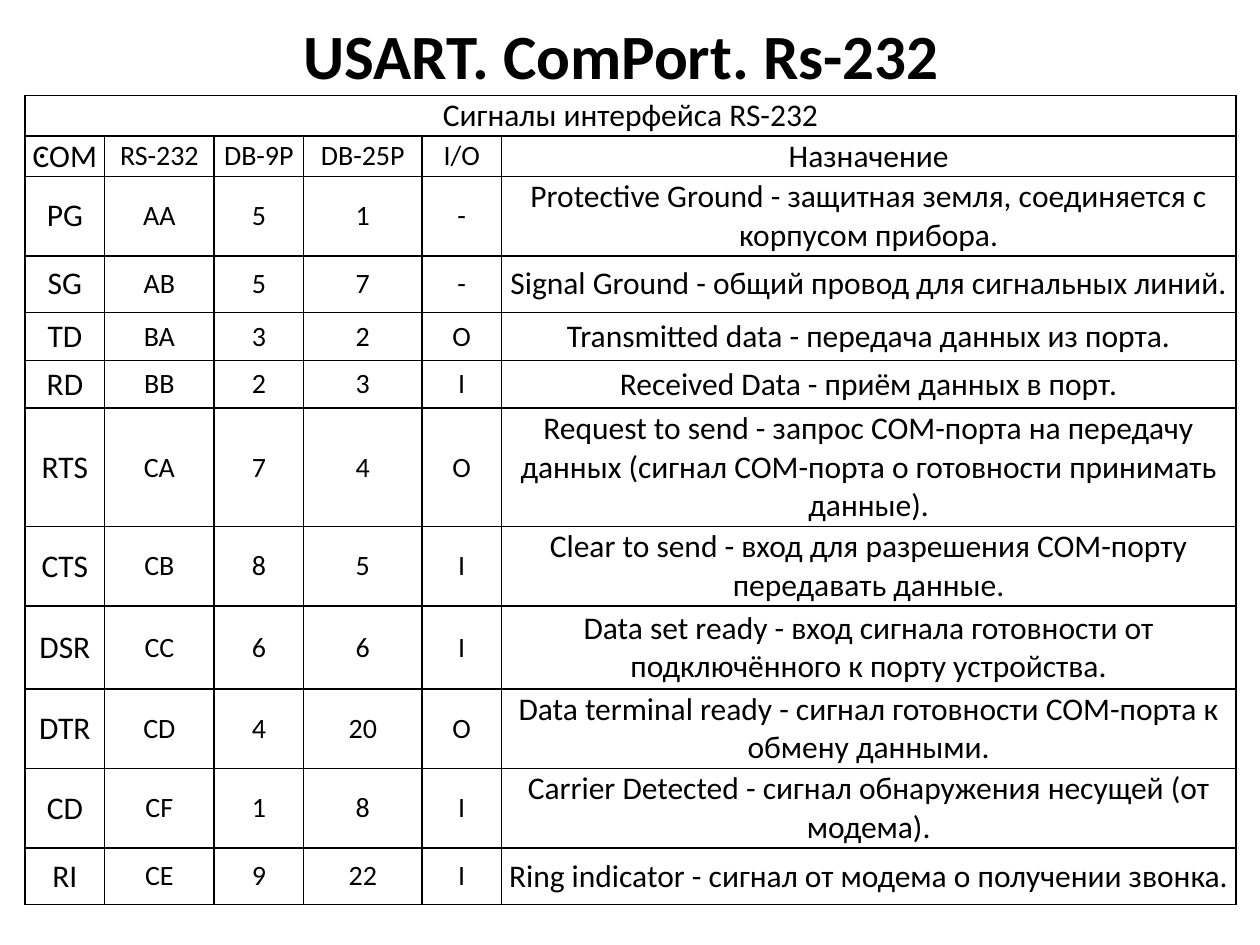
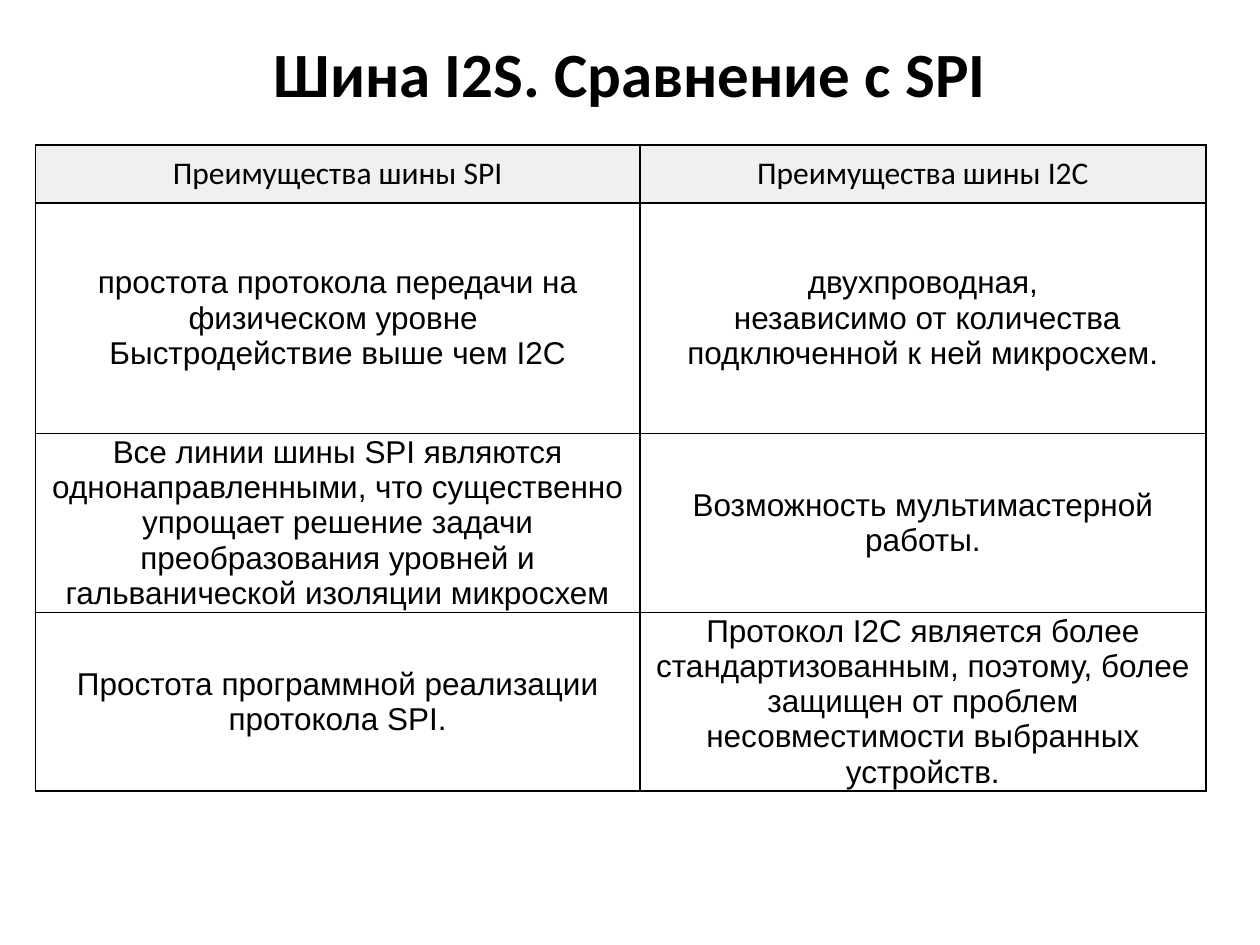
from lxml.etree import SubElement
from pptx import Presentation
from pptx.dml.color import RGBColor
from pptx.enum.text import MSO_ANCHOR as Anchor, PP_ALIGN as Align
from pptx.oxml.ns import qn
from pptx.util import Inches, Pt

COLS, ROWS = 100, 75
BLACK, WHITE, GREY = "000000", "FFFFFF", "F0F0F0"
HEAD_FONT, BODY_FONT = "Calibri", "Arial"

SIGNALS = [
    ["Сигналы интерфейса RS-232", "", "", "", "", ""],
    ["COM", "RS-232", "DB-9P", "DB-25P", "I/O", "Назначение"],
    ["PG", "AA", "5", "1", "-", "Protective Ground - защитная земля, соединяется с корпусом прибора."],
    ["SG", "AB", "5", "7", "-", "Signal Ground - общий провод для сигнальных линий."],
    ["TD", "BA", "3", "2", "O", "Transmitted data - передача данных из порта."],
    ["RD", "BB", "2", "3", "I", "Received Data - приём данных в порт."],
    ["RTS", "CA", "7", "4", "O", "Request to send - запрос COM-порта на передачу данных "
     "(сигнал COM-порта о готовности принимать данные)."],
    ["CTS", "CB", "8", "5", "I", "Clear to send - вход для разрешения COM-порту передавать данные."],
    ["DSR", "CC", "6", "6", "I", "Data set ready - вход сигнала готовности от подключённого к порту устройства."],
    ["DTR", "CD", "4", "20", "O", "Data terminal ready - сигнал готовности COM-порта к обмену данными."],
    ["CD", "CF", "1", "8", "I", "Carrier Detected - сигнал обнаружения несущей (от модема)."],
    ["RI", "CE", "9", "22", "I", "Ring indicator - сигнал от модема о получении звонка."],
]

ADVANTAGES = [
    ["Преимущества шины SPI", "Преимущества шины I2C"],
    ["простота протокола передачи на физическом уровне \nБыстродействие выше чем I2C",
     "двухпроводная,\n независимо от количества подключенной к ней микросхем."],
    ["Все линии шины SPI являются однонаправленными, что существенно упрощает решение "
     "задачи преобразования уровней и гальванической изоляции микросхем",
     "Возможность мультимастерной работы."],
    ["Простота программной реализации протокола SPI.",
     "Протокол I2C является более стандартизованным, поэтому, более защищен от проблем "
     "несовместимости выбранных устройств."],
]


def rgb(color):
    return RGBColor.from_string(color)


class Deck:
    """Holds the shared style and the current slide, placed on a 100 by 75 grid."""

    def __init__(self):
        self.prs = Presentation()
        self.prs.slide_width, self.prs.slide_height = Inches(10), Inches(7.5)
        self.slide = None

    def x(self, cols):
        return round(self.prs.slide_width * cols / COLS)

    def y(self, rows):
        return round(self.prs.slide_height * rows / ROWS)

    def box(self, left, top, width, height):
        return self.x(left), self.y(top), self.x(width), self.y(height)

    def style(self, tf, size, font=HEAD_FONT, bold=False, align=Align.CENTER):
        for p in tf.paragraphs:
            p.alignment = align
            p.font.size, p.font.name, p.font.bold = Pt(size), font, bold
            p.font.color.rgb = rgb(BLACK)

    def add_slide(self, title, *place):
        self.slide = self.prs.slides.add_slide(self.prs.slide_layouts[5])
        sp = self.slide.shapes.title
        sp.left, sp.top, sp.width, sp.height = self.box(*place)
        tf = sp.text_frame
        tf.text, tf.vertical_anchor = title, Anchor.MIDDLE
        self.style(tf, 36, bold=True)

    def text(self, text, size, *place):
        tf = self.slide.shapes.add_textbox(*self.box(*place)).text_frame
        tf.text, tf.word_wrap = text, True
        self.style(tf, size, align=Align.LEFT)

    def border(self, cell):
        tcPr = cell._tc.get_or_add_tcPr()
        for i, side in enumerate(("lnL", "lnR", "lnT", "lnB")):
            ln = tcPr.makeelement(qn(f"a:{side}"), {"w": str(Pt(1))})
            SubElement(SubElement(ln, qn("a:solidFill")), qn("a:srgbClr"), val=BLACK)
            tcPr.insert(i, ln)

    def table(self, left, top, widths, heights, data, inset, look):
        place = self.box(left, top, sum(widths), sum(heights))
        table = self.slide.shapes.add_table(len(data), len(widths), *place).table
        table.first_row = table.horz_banding = False
        for col, width in zip(table.columns, widths):
            col.width = self.x(width)
        for row, height in zip(table.rows, heights):
            row.height = self.y(height)
        for i, row in enumerate(data):
            for j, text in enumerate(row):
                cell = table.cell(i, j)
                size, font, fill = look(i, j)
                cell.text, cell.vertical_anchor = text, Anchor.MIDDLE
                cell.margin_left = cell.margin_right = self.x(inset)
                cell.margin_top = cell.margin_bottom = self.y(0.1)
                self.style(cell.text_frame, size, font)
                if fill:
                    cell.fill.solid()
                    cell.fill.fore_color.rgb = rgb(fill)
                else:
                    cell.fill.background()
                self.border(cell)
        return table


def signal_look(i, j):
    return 18 if i == 0 or j in (0, 5) else 16, HEAD_FONT, None


def advantage_look(i, j):
    return (18, BODY_FONT, WHITE) if i else (18, HEAD_FONT, GREY)


def main():
    deck = Deck()

    deck.add_slide("USART. ComPort. Rs-232", 4.3, 1.3, 90, 6.1)
    deck.text(".", 21, 2, 9.2, 74.8, 61.4)
    table = deck.table(2, 7.6, [6.3, 8.7, 7.1, 9.4, 6.3, 58.3],
                       [3.2, 3.2, 6.3, 4.5, 3.8, 3.8, 9.4, 6.3, 6.6, 6.3, 6.3, 4.5],
                       SIGNALS, 0.2, signal_look)
    table.cell(0, 0).merge(table.cell(0, 5))

    deck.add_slide("Шина I2S. Сравнение с SPI", 5, 3, 90, 5.4)
    deck.table(2.8, 11.5, [48, 44.9], [4.6, 18.3, 14.2, 14.2], ADVANTAGES, 0.1, advantage_look)

    deck.prs.save("out.pptx")


if __name__ == "__main__":
    main()
